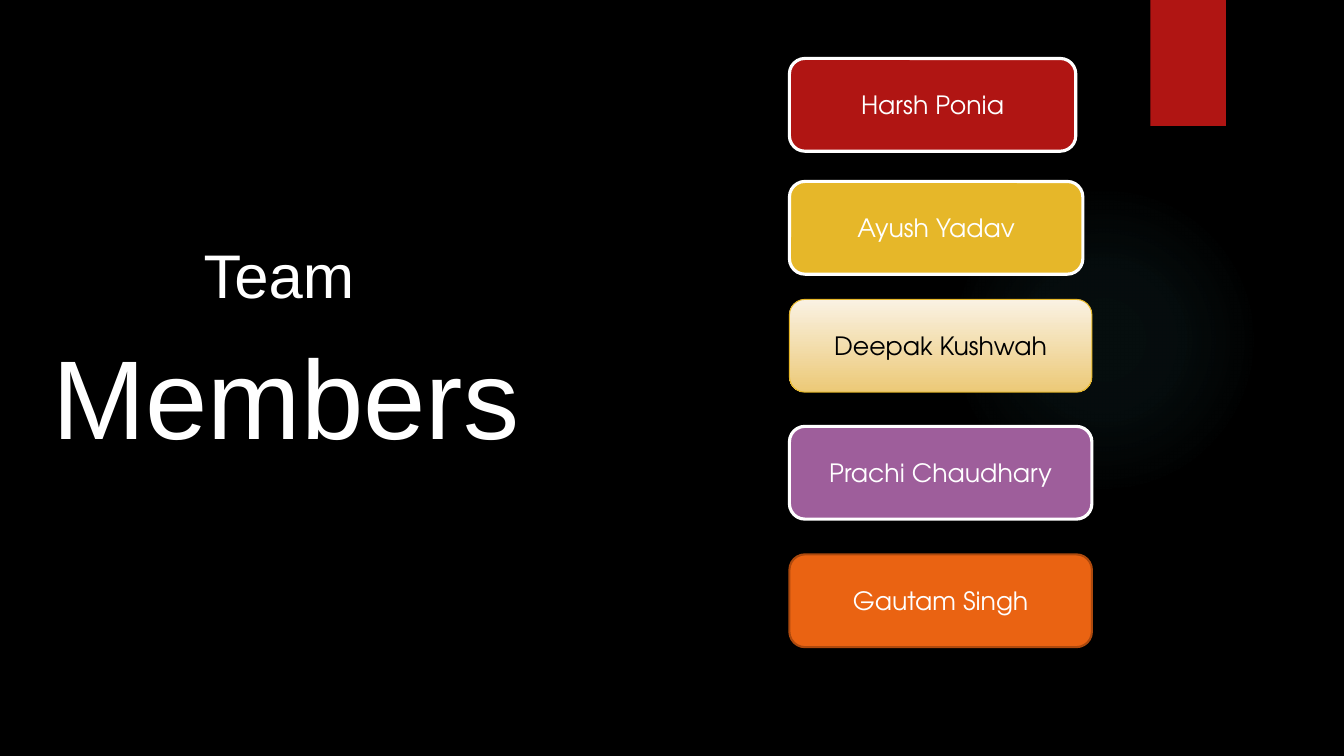
from pptx import Presentation
from pptx.dml.color import RGBColor
from pptx.enum.shapes import MSO_SHAPE
from pptx.enum.text import MSO_ANCHOR, PP_ALIGN
from pptx.oxml import parse_xml
from pptx.oxml.ns import nsdecls, qn
from pptx.util import Inches, Pt

ROUNDED, RECT, OVAL = MSO_SHAPE.ROUNDED_RECTANGLE, MSO_SHAPE.RECTANGLE, MSO_SHAPE.OVAL
MIDDLE, BOTTOM = MSO_ANCHOR.MIDDLE, MSO_ANCHOR.BOTTOM
CENTER, LEFT = PP_ALIGN.CENTER, PP_ALIGN.LEFT

COLORS = {
    "black": "000000", "white": "FFFFFF", "red": "B01513", "gold": "E6B729",
    "cream": "FAF2E3", "sand": "ECC977", "purple": "9E5E9B",
    "orange": "EA6312", "rust": "AD490D", "teal": "50B9C1",
}
CARD_LEFT, CARD_HEIGHT = 7.83, 0.92


def rgb(name):
    return RGBColor.from_string(COLORS[name])


def write(paragraph, text, *, size, font, color="white", align=LEFT, indent=0, before=0):
    paragraph.alignment = align
    paragraph.space_before = Pt(before)
    paragraph._p.get_or_add_pPr().set("marL", str(Inches(indent)))
    run = paragraph.add_run()
    run.text = text
    run.font.size = Pt(size)
    run.font.name = font
    run.font.color.rgb = rgb(color)


class TeamSlide:
    heading_font = "Arial"
    name_font = "TeX Gyre Adventor"

    def __init__(self, prs):
        self.slide = prs.slides.add_slide(prs.slide_layouts[6])
        self.slide.background.fill.solid()
        self.slide.background.fill.fore_color.rgb = rgb("black")

    def block(self, kind, left, top, width, height, fill=None):
        block = self.slide.shapes.add_shape(
            kind, Inches(left), Inches(top), Inches(width), Inches(height))
        block.shadow.inherit = False
        block.line.fill.background()
        if fill:
            block.fill.solid()
            block.fill.fore_color.rgb = rgb(fill)
        return block

    def glow(self, left, top, size, color, stops):
        glow = self.block(OVAL, left, top, size, size)
        glow.fill.background()
        stop_xml = "".join(
            f'<a:gs pos="{pos * 1000}"><a:srgbClr val="{COLORS[color]}">'
            f'<a:alpha val="{alpha * 1000}"/></a:srgbClr></a:gs>'
            for pos, alpha in stops)
        gradient = parse_xml(
            f'<a:gradFill {nsdecls("a")} rotWithShape="1"><a:gsLst>{stop_xml}</a:gsLst>'
            '<a:path path="circle"><a:fillToRect l="50000" t="50000" r="50000" b="50000"/>'
            '</a:path></a:gradFill>')
        properties = glow._element.spPr
        properties.replace(properties.find(qn("a:noFill")), gradient)

    def heading(self, left, top, width, height, lines):
        frame = self.slide.shapes.add_textbox(
            Inches(left), Inches(top), Inches(width), Inches(height)).text_frame
        frame.word_wrap = True
        frame.vertical_anchor = BOTTOM
        for number, (text, style) in enumerate(lines):
            paragraph = frame.add_paragraph() if number else frame.paragraphs[0]
            write(paragraph, text, font=self.heading_font, **style)

    def card(self, name, top, width, fill, edge, edge_width, color="white"):
        card = self.block(ROUNDED, CARD_LEFT, top, width, CARD_HEIGHT)
        if isinstance(fill, tuple):
            card.fill.gradient()
            card.fill.gradient_angle = 270
            for stop, shade, position in zip(card.fill.gradient_stops, fill, (0, 1)):
                stop.color.rgb = rgb(shade)
                stop.position = position
        else:
            card.fill.solid()
            card.fill.fore_color.rgb = rgb(fill)
        card.line.color.rgb = rgb(edge)
        card.line.width = Pt(edge_width)
        frame = card.text_frame
        frame.word_wrap = True
        frame.vertical_anchor = MIDDLE
        write(frame.paragraphs[0], name, size=18, font=self.name_font,
              color=color, align=CENTER)


def main():
    prs = Presentation()
    prs.slide_width, prs.slide_height = Inches(13.33), Inches(7.5)
    team = TeamSlide(prs)

    # Backdrop
    team.glow(9.41, 1.83, 3.08, "teal", [(0, 7), (36, 6), (69, 0)])
    team.block(RECT, 11.41, 0, 0.75, 1.25, "red")

    # Heading
    team.heading(0.42, 1.84, 5.18, 2.79, [
        ("Team", {"size": 44, "indent": 1.5}),
        ("Members", {"size": 80, "before": 12}),
    ])

    # Member cards
    members = [
        ("Harsh Ponia", 0.58, 2.84, "red", "white", 2.25),
        ("Ayush Yadav", 1.8, 2.91, "gold", "white", 2.25),
        ("Deepak Kushwah", 2.97, 3, ("cream", "sand"), "gold", 0.75, "black"),
        ("Prachi Chaudhary", 4.23, 3, "purple", "white", 2.25),
        ("Gautam Singh", 5.5, 3, "orange", "rust", 1.5),
    ]
    for member in members:
        team.card(*member)

    prs.save("out.pptx")


if __name__ == "__main__":
    main()
